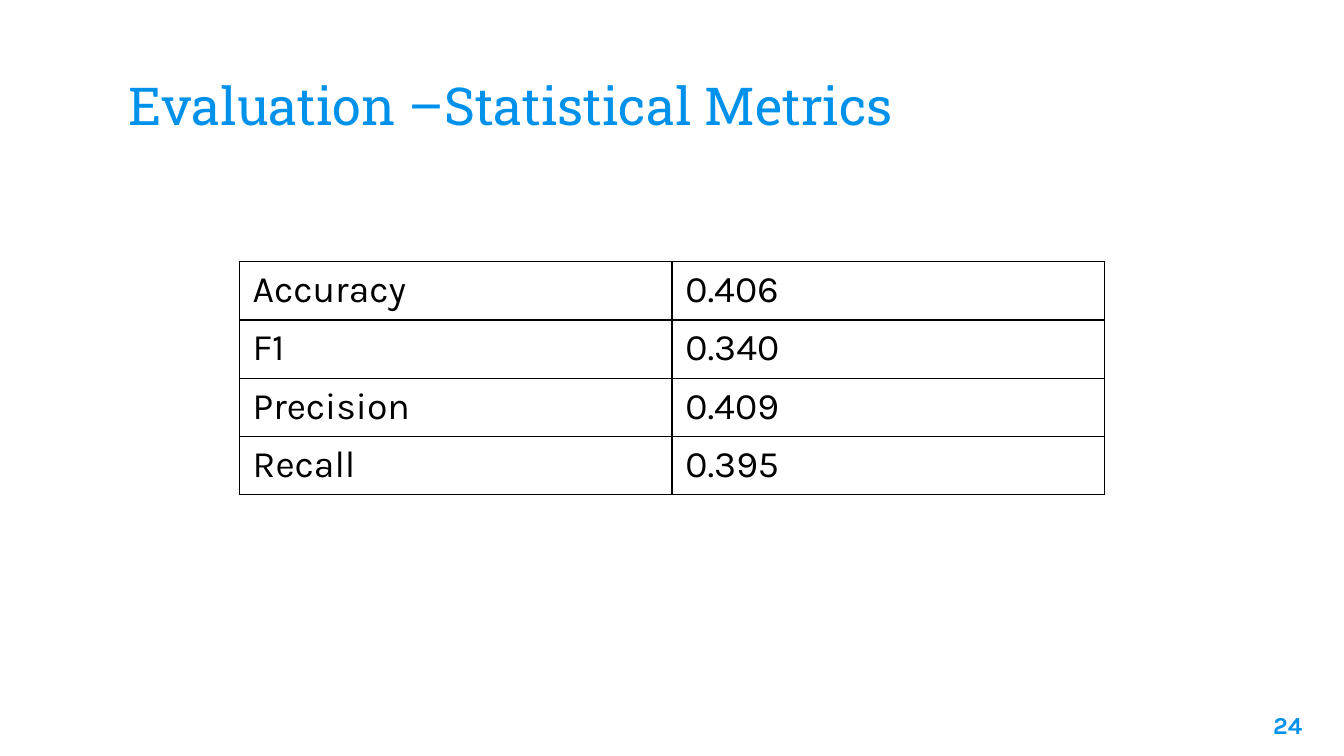
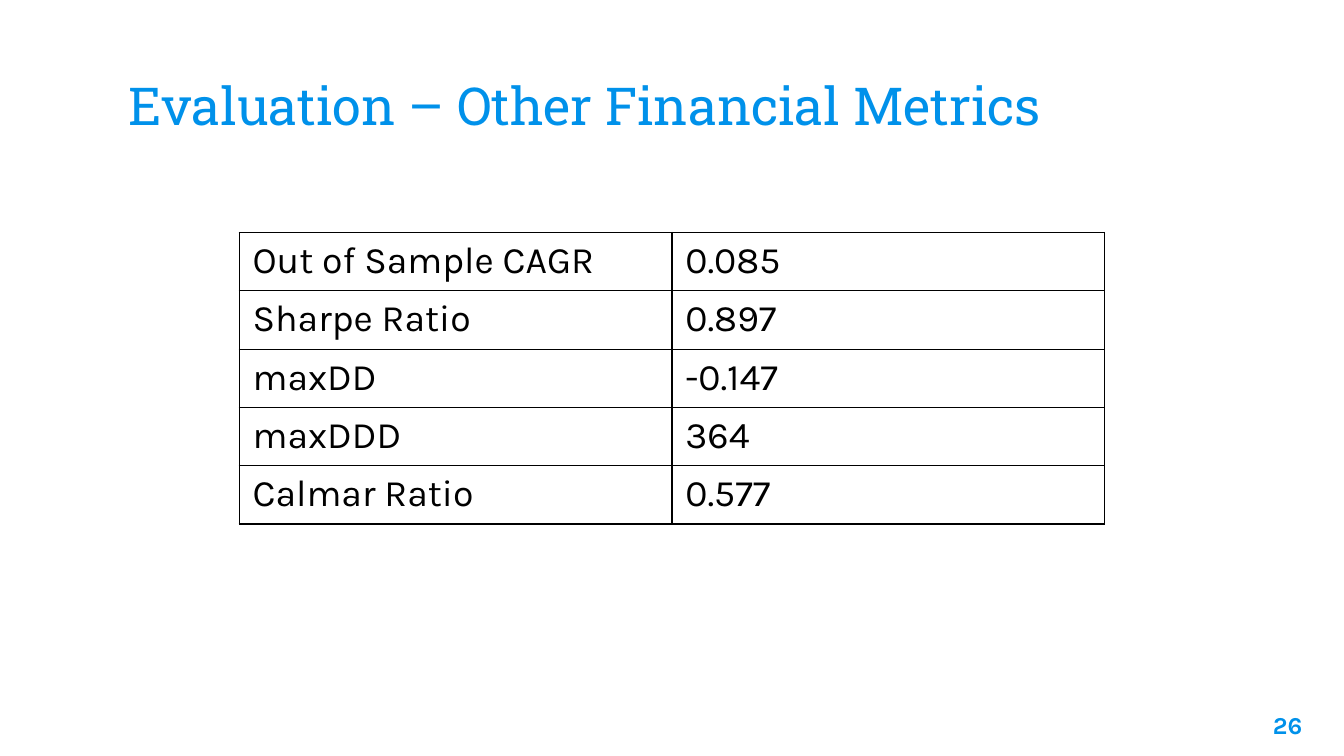
from lxml import etree
from pptx import Presentation
from pptx import util as u
from pptx.dml.color import RGBColor
from pptx.enum import text
from pptx.oxml import ns

BLUE = RGBColor(0x00, 0x91, 0xEA)
BLACK = RGBColor(0x00, 0x00, 0x00)

# Text styles
HEAD = {"name": "Roboto Slab", "size": u.Pt(28), "bold": False}
PAGE = {"name": "Karla", "size": u.Pt(13), "bold": True}
BODY = {"name": "Karla", "size": u.Pt(20), "bold": False}

# Frame settings
PAD = u.Cm(0.25)
FRAME = {"word_wrap": True, "margin_left": PAD, "margin_right": PAD,
         "margin_top": PAD, "margin_bottom": PAD}
PLAIN = {"first_row": False, "horz_banding": False}

# Table grid
COL = u.Cm(8.18)
ROW = u.Cm(1.1)

# Slide content: title, page number, rows
PAGES = [
    ("Evaluation –Statistical Metrics", "24", [
        ("Accuracy", "0.406"),
        ("F1", "0.340"),
        ("Precision", "0.409"),
        ("Recall", "0.395"),
    ]),
    ("Evaluation – Other Financial Metrics", "26", [
        ("Out of Sample CAGR", "0.085"),
        ("Sharpe Ratio", "0.897"),
        ("maxDD", "-0.147"),
        ("maxDDD", "364"),
        ("Calmar Ratio", "0.577"),
    ]),
]


def write(frame, words, style, color, align=text.PP_ALIGN.LEFT):
    para = frame.paragraphs[0]
    para.alignment = align
    run = para.add_run()
    run.text = words
    for key, value in style.items():
        setattr(run.font, key, value)
    run.font.color.rgb = color


def rule(cell):
    props = cell._tc.get_or_add_tcPr()
    for side in ("lnL", "lnR", "lnT", "lnB"):
        line = etree.SubElement(props, ns.qn(f"a:{side}"), w=str(u.Pt(0.75)))
        fill = etree.SubElement(line, ns.qn("a:solidFill"))
        etree.SubElement(fill, ns.qn("a:srgbClr"), val=str(BLACK))


deck = Presentation()
deck.slide_width = u.Cm(25.4)
deck.slide_height = u.Cm(14.29)

for title, page, rows in PAGES:
    slide = deck.slides.add_slide(deck.slide_layouts[6])

    # Title and page number
    for words, style, box, anchor, align in (
        (title, HEAD, (2.18, 0.86, 21.03, 1.96),
         text.MSO_ANCHOR.BOTTOM, text.PP_ALIGN.LEFT),
        (page, PAGE, (23.34, 13.18, 1.52, 1.09),
         text.MSO_ANCHOR.TOP, text.PP_ALIGN.RIGHT),
    ):
        frame = slide.shapes.add_textbox(*map(u.Cm, box)).text_frame
        for key, value in FRAME.items():
            setattr(frame, key, value)
        frame.vertical_anchor = anchor
        write(frame, words, style, BLUE, align)

    # Table centred on the slide
    wide, high = 2 * COL, len(rows) * ROW
    left = (deck.slide_width - wide) // 2
    top = (deck.slide_height - high) // 2
    grid = slide.shapes.add_table(len(rows), 2, left, top, wide, high).table
    for key, value in PLAIN.items():
        setattr(grid, key, value)
    for r, row in enumerate(rows):
        for c, words in enumerate(row):
            cell = grid.cell(r, c)
            rule(cell)
            cell.fill.background()
            write(cell.text_frame, words, BODY, BLACK)

deck.save("out.pptx")
